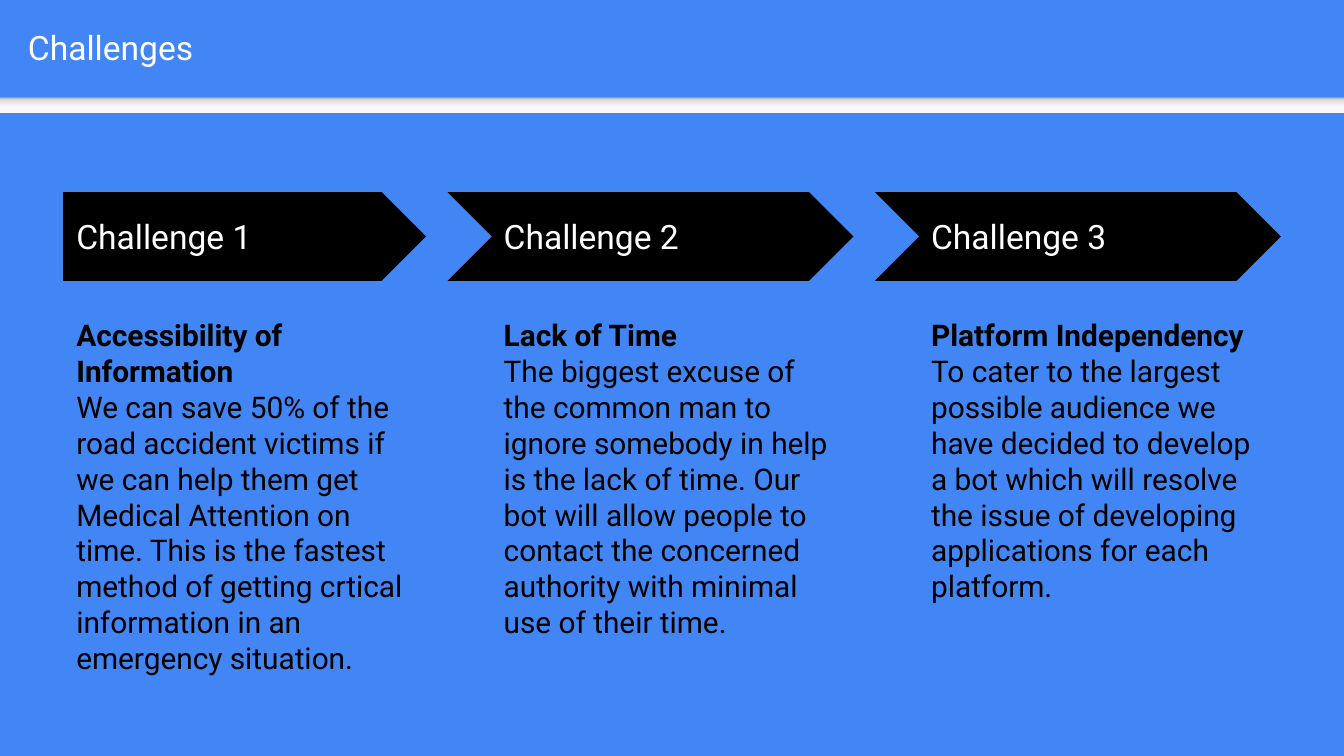
from pptx import Presentation
from pptx.dml.color import RGBColor
from pptx.enum.shapes import MSO_SHAPE
from pptx.enum.text import MSO_ANCHOR
from pptx.oxml.ns import qn
from pptx.util import Inches, Pt
from lxml import etree

RECT, PLATE, CHEVRON = MSO_SHAPE.RECTANGLE, MSO_SHAPE.PENTAGON, MSO_SHAPE.CHEVRON
TOP, MIDDLE = MSO_ANCHOR.TOP, MSO_ANCHOR.MIDDLE
FONT = "Roboto"
COLORS = {"back": "4285F4", "ink": "000000", "light": "FFFFFF"}
SHADE = [(0, "F9F9F9"), (36, "F9F9F9"), (80, "DEDEDE"), (100, "999999")]
STEPS = [
    ("Challenge 1", "Accessibility of Information",
     "We can save 50% of the road accident victims if we can help them get "
     "Medical Attention on time. This is the fastest method of getting crtical "
     "information in an emergency situation."),
    ("Challenge 2", "Lack of Time",
     "The biggest excuse of the common man to ignore somebody in help is the "
     "lack of time. Our bot will allow people to contact the concerned "
     "authority with minimal use of their time."),
    ("Challenge 3", "Platform Independency",
     "To cater to the largest possible audience we have decided to develop a "
     "bot which will resolve the issue of developing applications for each "
     "platform."),
]


def color(name):
    """Return the named colour."""
    return RGBColor.from_string(COLORS[name])


def add_shape(slide, kind, box):
    """Add a plain shape without line or shadow."""
    shape = slide.shapes.add_shape(kind, *map(Inches, box))
    shape.shadow.inherit = False
    shape.line.fill.background()
    return shape


def add_text(slide, box, lines, size, ink, anchor=TOP):
    """Add a text box with one paragraph per (text, bold) line."""
    frame = slide.shapes.add_textbox(*map(Inches, box)).text_frame
    frame.word_wrap = True
    frame.vertical_anchor = anchor
    frame.margin_left = frame.margin_right = Inches(0.1)
    frame.margin_top = frame.margin_bottom = Inches(0.1)
    for i, (text, bold) in enumerate(lines):
        para = frame.paragraphs[0] if i == 0 else frame.add_paragraph()
        run = para.add_run()
        run.text = text
        run.font.name = FONT
        run.font.size = Pt(size)
        run.font.bold = bold
        run.font.color.rgb = color(ink)


def add_head(slide, x, y, width, height):
    """Add the title and the shaded strip under it."""
    strip = add_shape(slide, RECT, (x, y + height, width, 0.12))
    strip.fill.gradient()
    strip.fill.gradient_angle = 90
    stops = strip._element.spPr.find(qn("a:gradFill")).find(qn("a:gsLst"))
    for stop in list(stops):
        stops.remove(stop)
    for pos, shade in SHADE:
        stop = etree.SubElement(stops, qn("a:gs"), pos=str(pos * 1000))
        etree.SubElement(stop, qn("a:srgbClr"), val=shade)
    add_text(slide, (x + 0.11, y + 0.02, width - 0.35, height - 0.06),
             [("Challenges", False)], 18, "light", MIDDLE)


def add_step(slide, x, y, width, step, first):
    """Add one arrow with its label and the text below."""
    label, head, body = step
    notch = 0 if first else 0.32
    kind = PLATE if first else CHEVRON
    arrow = add_shape(slide, kind, (x - notch, y, width + notch, 0.66))
    arrow.adjustments[0] = 0.5
    arrow.fill.solid()
    arrow.fill.fore_color.rgb = color("ink")
    add_text(slide, (x, y + 0.16, width - 0.23, 0.34),
             [(label, False)], 18, "light", MIDDLE)
    add_text(slide, (x, y + 0.83, width, 2.9),
             [(head, True), (body, False)], 16, "ink")


def main():
    """Build and save the slide."""
    deck = Presentation()
    deck.slide_width, deck.slide_height = Inches(10), Inches(10 * 9 / 16)
    slide = deck.slides.add_slide(deck.slide_layouts[6])
    slide.background.fill.solid()
    slide.background.fill.fore_color.rgb = color("back")
    add_head(slide, 0, 0, 10, 0.72)
    for i, step in enumerate(STEPS):
        add_step(slide, 0.47 + 3.18 * i, 1.43, 2.7, step, i == 0)
    deck.save("out.pptx")


main()
